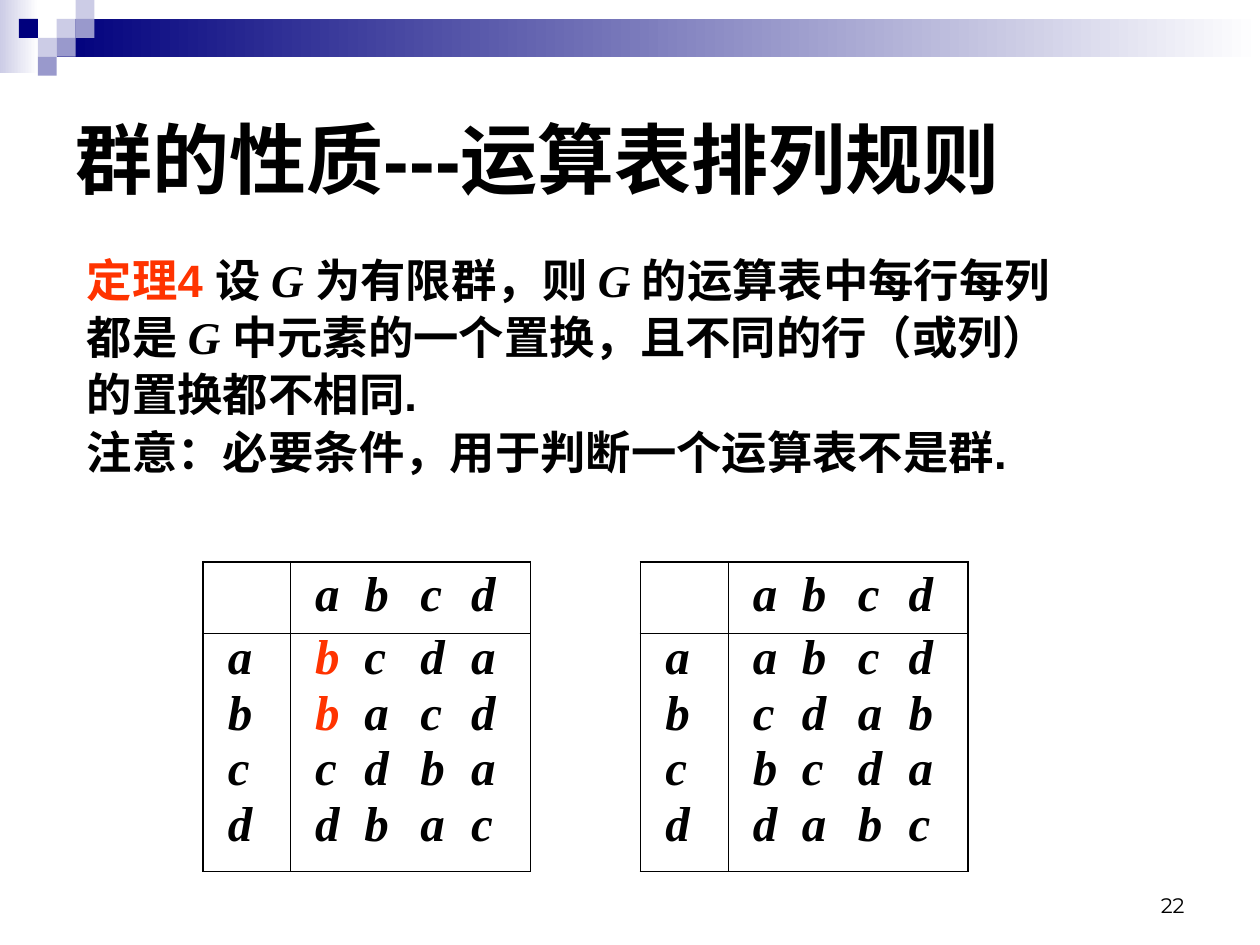
from pptx import Presentation
from pptx.dml.color import RGBColor
from pptx.enum.shapes import MSO_SHAPE as SHAPE
from pptx.enum.text import MSO_ANCHOR as ANCHOR, MSO_AUTO_SIZE as AUTO, PP_ALIGN as ALIGN
from pptx.oxml.ns import qn
from pptx.util import Pt
from lxml.etree import SubElement

BLACK = RGBColor(0, 0, 0)
WHITE = RGBColor(0xFF, 0xFF, 0xFF)
RED = RGBColor(0xFF, 0x33, 0x00)
NAVY = RGBColor(0x00, 0x00, 0x7D)
LILAC = RGBColor(0xCC, 0xCC, 0xE6)
VIOLET = RGBColor(0x99, 0x99, 0xCC)

SANS, SERIF, NUMBER_FONT = "Arial", "Times New Roman", "Montserrat"
OUTER, INNER = 1.08, 0.45
LETTER_STOPS = (28, 60, 89)


def add_run(p, text, font, size, color=BLACK, bold=True, italic=False):
    r = p.add_run()
    r.text = text
    r.font.name, r.font.size = font, Pt(size)
    r.font.bold, r.font.italic = bold, italic
    r.font.color.rgb = color


def paragraphs(tf, count):
    """Yield the first paragraph of a frame, then newly added ones."""
    for i in range(count):
        yield tf.paragraphs[0] if i == 0 else tf.add_paragraph()


def place(sp, left, top, width, height):
    sp.left, sp.top, sp.width, sp.height = Pt(left), Pt(top), Pt(width), Pt(height)


def add_block(slide, left, top, width, height, *colors):
    """One colour gives a plain fill, two give a left-to-right gradient."""
    sp = slide.shapes.add_shape(SHAPE.RECTANGLE, Pt(left), Pt(top), Pt(width), Pt(height))
    sp.shadow.inherit = False
    sp.line.fill.background()
    if len(colors) == 1:
        sp.fill.solid()
        sp.fill.fore_color.rgb = colors[0]
    else:
        sp.fill.gradient()
        sp.fill.gradient_angle = 0
        for stop, color in zip(sp.fill.gradient_stops, colors):
            stop.color.rgb = color


def add_banner(slide, left, top, width):
    unit = 10.8
    add_block(slide, left, top, 22, 42, LILAC, WHITE)
    add_block(slide, left + 3 * unit, top + unit, width - 3 * unit, 2 * unit, NAVY, WHITE)
    squares = ((3, 1, LILAC), (4, 0, LILAC), (4, 1, VIOLET), (2, 2, LILAC),
               (1, 1, NAVY), (3, 2, VIOLET), (2, 3, VIOLET))
    for col, row, color in squares:
        add_block(slide, left + col * unit, top + row * unit, unit, unit, color)


def fill_title(sp, left, top, width, height):
    place(sp, left, top, width, height)
    tf = sp.text_frame
    tf.auto_size, tf.vertical_anchor = AUTO.NONE, ANCHOR.MIDDLE
    p = tf.paragraphs[0]
    p.alignment = ALIGN.LEFT
    add_run(p, "群的性质---运算表排列规则", SANS, 44)


def fill_theorem(sp, left, top, width, height):
    place(sp, left, top, width, height)
    tf = sp.text_frame
    tf.auto_size, tf.vertical_anchor = AUTO.NONE, ANCHOR.TOP
    lines = (
        ("定理4 ", "设 ", "G ", "为有限群，则 ", "G ", "的运算表中每行每列"),
        ("都是 ", "G ", "中元素的一个置换，且不同的行（或列）"),
        ("的置换都不相同.",),
        ("注意：必要条件，用于判断一个运算表不是群.",),
    )
    for i, (p, line) in enumerate(zip(paragraphs(tf, len(lines)), lines)):
        pPr = p._p.get_or_add_pPr()
        pPr.set("marL", str(Pt(27)))
        pPr.set("indent", str(-Pt(27)))
        SubElement(pPr, qn("a:buNone"))
        p.line_spacing, p.space_before = 0.83, Pt(7 if i else 0)
        for text in line:
            symbol = text == "G "
            add_run(p, text, SERIF if symbol else SANS, 25.9,
                    RED if text.startswith("定理") else BLACK, italic=symbol)


def set_borders(cell, left, right, top, bottom):
    tcPr = cell._tc.get_or_add_tcPr()
    for side, width in zip("LRTB", (left, right, top, bottom)):
        ln = SubElement(tcPr, qn(f"a:ln{side}"), w=str(Pt(width)))
        SubElement(SubElement(ln, qn("a:solidFill")), qn("a:srgbClr"), val=str(BLACK))


def fill_letters(cell, rows, marked=(), spacing=None):
    """Write each row of letters on tab stops; marked rows start in red."""
    for i, (p, row) in enumerate(zip(paragraphs(cell.text_frame, len(rows)), rows)):
        if len(row) > 1:
            tabs = SubElement(p._p.get_or_add_pPr(), qn("a:tabLst"))
            for stop in LETTER_STOPS:
                SubElement(tabs, qn("a:tab"), pos=str(Pt(stop)), algn="l")
        p.line_spacing, p.space_before = spacing, Pt(7 if i else 0)
        text = "\t".join(row)
        if i in marked:
            add_run(p, text[0], SERIF, 28, RED, italic=True)
            text = text[1:]
        add_run(p, text, SERIF, 28, italic=True)


def add_operation_table(slide, left, top, products, marked=()):
    widths, heights = (50, 137.2), (41, 136)
    table = slide.shapes.add_table(2, 2, Pt(left), Pt(top), Pt(sum(widths)),
                                   Pt(sum(heights))).table
    table.first_row = table.horz_banding = False
    for col, width in zip(table.columns, widths):
        col.width = Pt(width)
    for row, height in zip(table.rows, heights):
        row.height = Pt(height)
    edges = (OUTER, INNER, OUTER)
    for r in range(2):
        for c in range(2):
            cell = table.cell(r, c)
            set_borders(cell, edges[c], edges[c + 1], edges[r], edges[r + 1])
            cell.fill.background()
            cell.margin_left = Pt(14.2)
    fill_letters(table.cell(0, 1), ["abcd"])
    fill_letters(table.cell(1, 0), "abcd", spacing=0.8)
    fill_letters(table.cell(1, 1), products, marked, spacing=0.8)


def add_page_number(slide, left, top, width, height):
    tf = slide.shapes.add_textbox(Pt(left), Pt(top), Pt(width), Pt(height)).text_frame
    tf.word_wrap, tf.vertical_anchor = True, ANCHOR.BOTTOM
    p = tf.paragraphs[0]
    p.alignment = ALIGN.RIGHT
    add_run(p, "22", NUMBER_FONT, 12, bold=False)


def main():
    prs = Presentation()
    prs.slide_width, prs.slide_height = Pt(720), Pt(540)
    slide = prs.slides.add_slide(prs.slide_layouts[1])
    add_banner(slide, 0, 0, 720)
    fill_title(slide.shapes.title, 36, 36, 648, 108)
    fill_theorem(slide.placeholders[1], 42.5, 145.5, 641, 164)
    add_operation_table(slide, 116, 321, ("bcda", "bacd", "cdba", "dbac"), marked=(0, 1))
    add_operation_table(slide, 366, 321, ("abcd", "cdab", "bcda", "dabc"))
    add_page_number(slide, 516, 492, 168, 36)
    prs.save("out.pptx")


if __name__ == "__main__":
    main()
